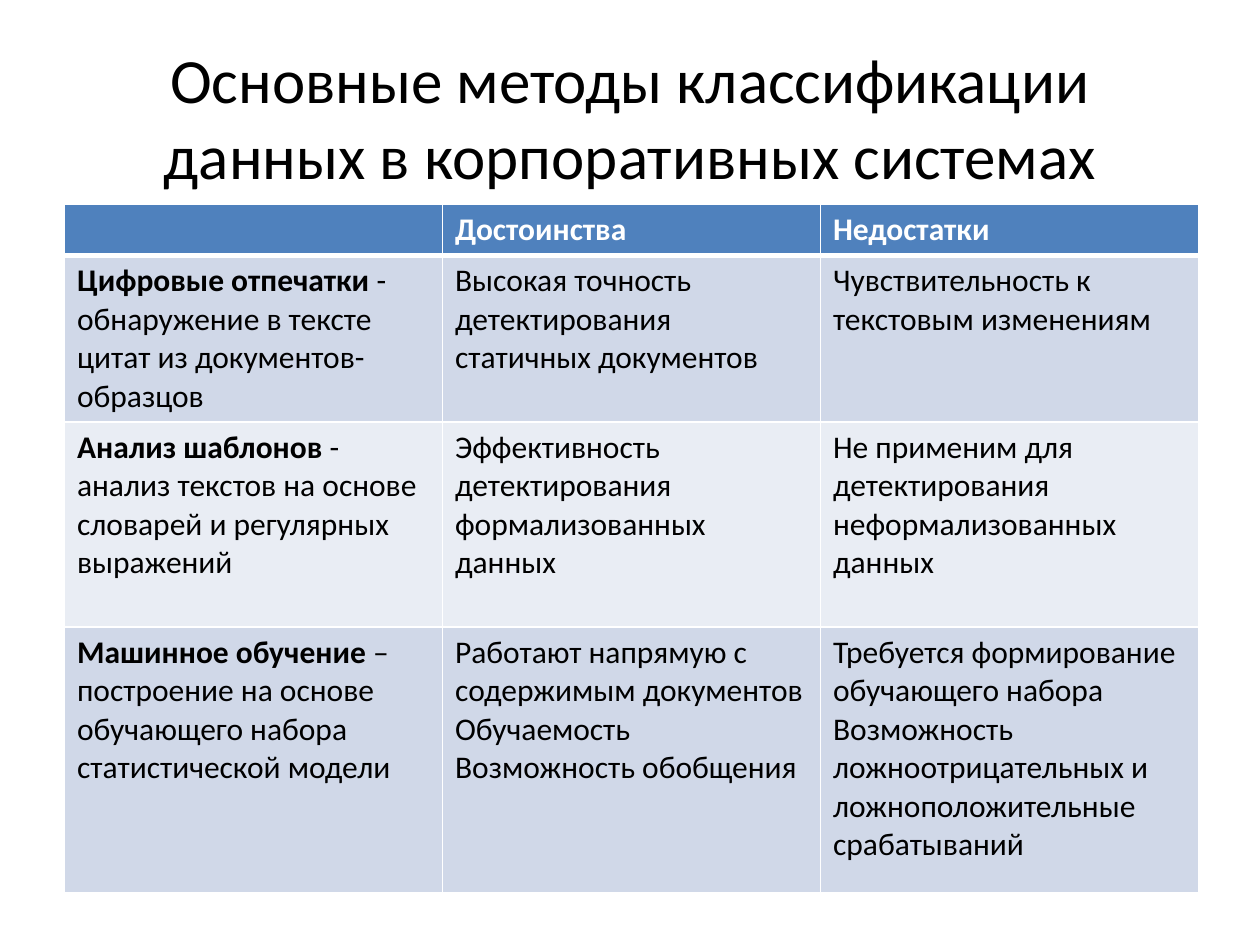
"""Build a slide comparing data classification methods in corporate systems."""
import lxml.etree
import pptx
import pptx.dml.color
import pptx.enum.text
import pptx.oxml.ns
import pptx.util
from pptx.util import Cm

WHITE = pptx.dml.color.RGBColor(0xFF, 0xFF, 0xFF)
BLACK = pptx.dml.color.RGBColor(0x00, 0x00, 0x00)
HEADER_BLUE = pptx.dml.color.RGBColor(0x4F, 0x81, 0xBD)
BAND_COLORS = (
    pptx.dml.color.RGBColor(0xD0, 0xD8, 0xE8),
    pptx.dml.color.RGBColor(0xE9, 0xED, 0xF4),
)
FONT_NAME = "Calibri"
TITLE = "Основные методы классификации данных в корпоративных системах"
HEADERS = ("", "Достоинства", "Недостатки")
METHODS = (
    (
        ("Цифровые отпечатки ", "- ", "обнаружение в тексте цитат из документов-образцов"),
        ["Высокая точность детектирования статичных документов"],
        ["Чувствительность к текстовым изменениям"],
    ),
    (
        ("Анализ шаблонов ", "- ", "анализ текстов на основе словарей и регулярных выражений"),
        ["Эффективность детектирования формализованных данных"],
        ["Не применим для детектирования неформализованных данных"],
    ),
    (
        ("Машинное обучение ", "– ", "построение на основе обучающего набора статистической модели"),
        ["Работают напрямую с содержимым документов", "Обучаемость", "Возможность обобщения"],
        [
            "Требуется формирование обучающего набора",
            "Возможность ложноотрицательных и ложноположительные срабатываний",
        ],
    ),
)
COLUMN_WIDTH = Cm(7.62)
ROW_HEIGHTS = (Cm(1.03), Cm(3.36), Cm(4.13), Cm(5.35))


def style_font(font, size, color, bold=False):
    """Set the face, size, colour and weight of a font."""
    font.name = FONT_NAME
    font.size = pptx.util.Pt(size)
    font.color.rgb = color
    font.bold = bold


def add_title(slide):
    """Add the centred slide title."""
    shape = slide.shapes.add_textbox(Cm(1.27), Cm(0.76), Cm(22.86), Cm(3.18))
    shape.text_frame.word_wrap = True
    shape.text_frame.vertical_anchor = pptx.enum.text.MSO_ANCHOR.MIDDLE
    paragraph = shape.text_frame.paragraphs[0]
    paragraph.text = TITLE
    paragraph.alignment = pptx.enum.text.PP_ALIGN.CENTER
    style_font(paragraph.font, 36, BLACK)


def style_cell(cell, fill_color, top_width=1, bottom_width=1):
    """Give a cell white borders and a solid fill."""
    properties = cell._tc.get_or_add_tcPr()
    widths = {"a:lnL": 1, "a:lnR": 1, "a:lnT": top_width, "a:lnB": bottom_width}
    for tag, width in widths.items():
        line = lxml.etree.SubElement(
            properties, pptx.oxml.ns.qn(tag), w=str(pptx.util.Pt(width))
        )
        fill = lxml.etree.SubElement(line, pptx.oxml.ns.qn("a:solidFill"))
        lxml.etree.SubElement(fill, pptx.oxml.ns.qn("a:srgbClr"), val=str(WHITE))
    cell.fill.solid()
    cell.fill.fore_color.rgb = fill_color


def write_paragraphs(cell, texts, color, bold=False):
    """Write one paragraph per text into a cell."""
    cell.text = "\n".join(texts)
    for paragraph in cell.text_frame.paragraphs:
        style_font(paragraph.font, 18, color, bold)


def write_method(cell, name, dash, description):
    """Write a bold method name with its description on the next line."""
    paragraph = cell.text_frame.paragraphs[0]
    style_font(paragraph.font, 18, BLACK)
    name_run = paragraph.add_run()
    name_run.text = name
    name_run.font.bold = True
    paragraph.add_run().text = dash
    paragraph.add_line_break()
    paragraph.add_run().text = description


def add_comparison_table(slide):
    """Add the table of methods with their strengths and weaknesses."""
    table = slide.shapes.add_table(
        len(ROW_HEIGHTS), len(HEADERS), Cm(1.3), Cm(4.12),
        COLUMN_WIDTH * len(HEADERS), sum(ROW_HEIGHTS),
    ).table
    for column in table.columns:
        column.width = COLUMN_WIDTH
    for row, height in zip(table.rows, ROW_HEIGHTS):
        row.height = height
    for cell, header in zip(table.rows[0].cells, HEADERS):
        style_cell(cell, HEADER_BLUE, bottom_width=3)
        write_paragraphs(cell, [header], WHITE, bold=True)
    for index, (method, strengths, weaknesses) in enumerate(METHODS):
        cells = list(table.rows[index + 1].cells)
        for cell in cells:
            style_cell(cell, BAND_COLORS[index % 2], top_width=1 if index else 3)
        write_method(cells[0], *method)
        write_paragraphs(cells[1], strengths, BLACK)
        write_paragraphs(cells[2], weaknesses, BLACK)


def main():
    """Build and save the presentation."""
    presentation = pptx.Presentation()
    presentation.slide_width = Cm(25.4)
    presentation.slide_height = Cm(19.05)
    slide = presentation.slides.add_slide(presentation.slide_layouts[6])
    add_title(slide)
    add_comparison_table(slide)
    presentation.save("out.pptx")


if __name__ == "__main__":
    main()
